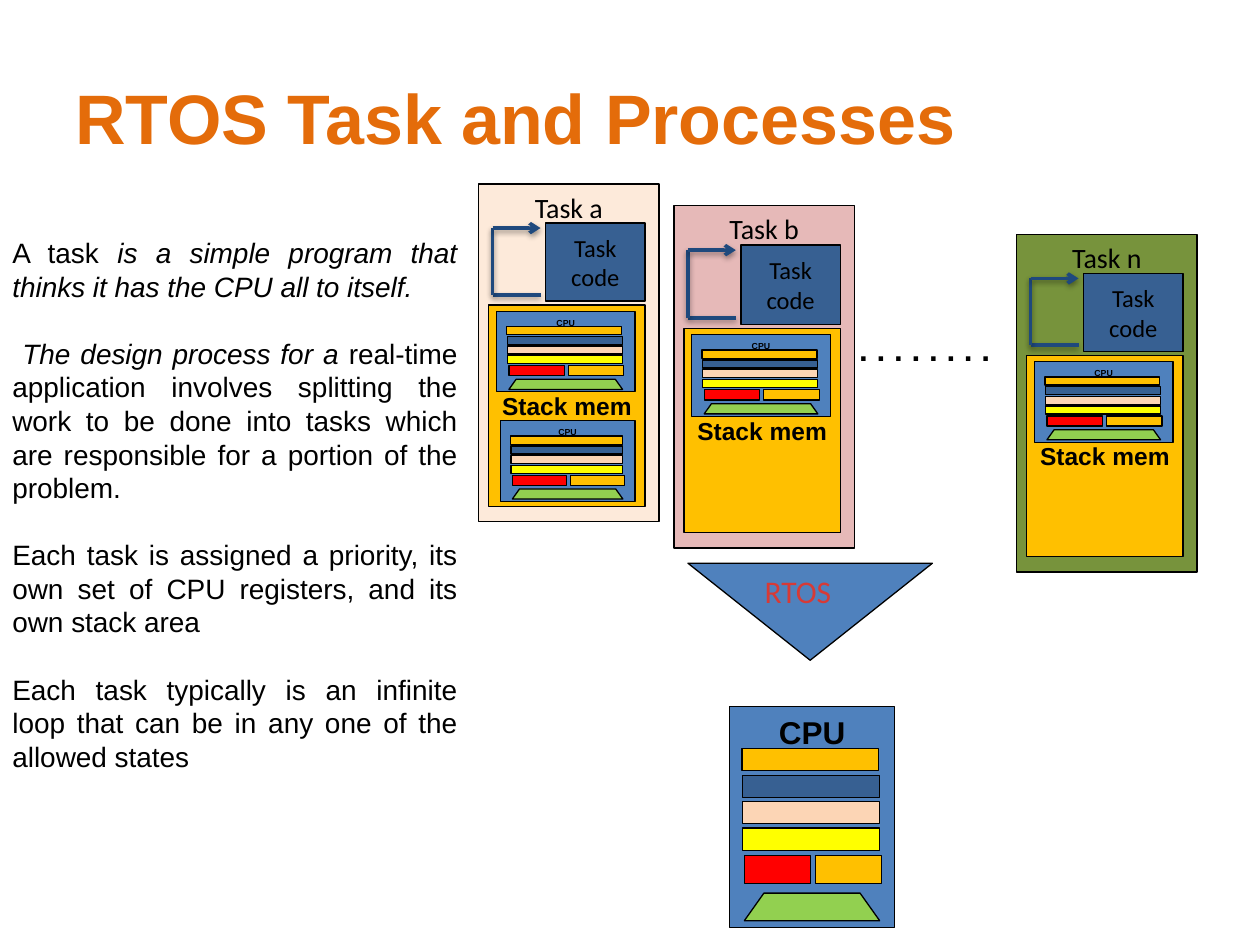
from lxml import etree
from pptx import Presentation
from pptx.dml.color import RGBColor
from pptx.enum.shapes import MSO_CONNECTOR, MSO_SHAPE
from pptx.enum.text import MSO_ANCHOR, PP_ALIGN
from pptx.oxml.ns import qn
from pptx.util import Inches, Pt

RECTANGLE = MSO_SHAPE.RECTANGLE
TRAPEZOID = MSO_SHAPE.TRAPEZOID
TRIANGLE = MSO_SHAPE.ISOSCELES_TRIANGLE
STRAIGHT = MSO_CONNECTOR.STRAIGHT
TOP, MIDDLE = MSO_ANCHOR.TOP, MSO_ANCHOR.MIDDLE
LEFT, CENTER, JUSTIFY = PP_ALIGN.LEFT, PP_ALIGN.CENTER, PP_ALIGN.JUSTIFY

BLACK, BLUE, NAVY, AMBER = "000000", "4F81BD", "376092", "FFC000"
LOOP_COLOR = "1F497D"
TASK_HEIGHT = 2.68

# CPU registers as fractions of the CPU box: left, top, width, height
REGISTERS = [
    (RECTANGLE, AMBER, (0.075, 0.19, 0.83, 0.1)),
    (RECTANGLE, NAVY, (0.08, 0.31, 0.83, 0.1)),
    (RECTANGLE, "FCD5B5", (0.08, 0.43, 0.83, 0.1)),
    (RECTANGLE, "FFFF00", (0.08, 0.55, 0.83, 0.1)),
    (RECTANGLE, "FF0000", (0.09, 0.675, 0.4, 0.125)),
    (RECTANGLE, AMBER, (0.52, 0.675, 0.4, 0.125)),
    (TRAPEZOID, "92D050", (0.09, 0.845, 0.82, 0.125)),
]

# Left, top, height, fill and number of saved CPU contexts
TASKS = [
    ("Task a", 3.8, 1.46, TASK_HEIGHT, "FDEADA", 2),
    ("Task b", 5.35, 1.63, 2.72, "E6B9B8", 1),
    ("Task n", 8.07, 1.86, TASK_HEIGHT, "77933C", 1),
]

# Paragraphs of (text, italic) runs
BODY = [
    [("A task ", False),
     ("is a simple program that thinks it has the CPU all to itself.", True)],
    [(" The design process for a ", True),
     ("real-time application involves splitting the work to be done into "
      "tasks which are responsible for a portion of the problem.", False)],
    [("Each task is assigned a priority, its own set of CPU registers, "
      "and its own stack area", False)],
    [("Each task typically is an infinite loop that can be in any one of "
      "the allowed states", False)],
]


def rgb(color):
    return RGBColor.from_string(color)


def set_font(font, size, name="Arial", bold=False, color=BLACK):
    font.size = Pt(size)
    font.name = name
    font.bold = bold
    font.color.rgb = rgb(color)


def add_box(shapes, kind, box, fill):
    shape = shapes.add_shape(kind, *map(Inches, box))
    shape.shadow.inherit = False
    shape.fill.solid()
    shape.fill.fore_color.rgb = rgb(fill)
    shape.line.color.rgb = rgb(BLACK)
    shape.line.width = Pt(0.75)
    return shape


def add_labelled_box(shapes, box, fill, text, size, anchor=TOP, **font):
    shape = add_box(shapes, RECTANGLE, box, fill)
    frame = shape.text_frame
    frame.text = text
    frame.vertical_anchor = anchor
    paragraph = frame.paragraphs[0]
    paragraph.alignment = CENTER
    set_font(paragraph.runs[0].font, size, **font)


def add_text(shapes, box, text, size, wrap=False, anchor=TOP, **font):
    frame = shapes.add_textbox(*map(Inches, box)).text_frame
    frame.word_wrap = wrap
    frame.vertical_anchor = anchor
    frame.text = text
    paragraph = frame.paragraphs[0]
    paragraph.alignment = LEFT
    set_font(paragraph.runs[0].font, size, **font)


def add_body(shapes):
    frame = shapes.add_textbox(*map(Inches, (0, 1.82, 3.73, 4.41))).text_frame
    frame.word_wrap = True
    for index, runs in enumerate(BODY):
        paragraph = frame.add_paragraph() if index else frame.paragraphs[0]
        paragraph.alignment = JUSTIFY
        paragraph.line_spacing = Pt(19.2)
        paragraph.space_before = Pt(19.2 if index else 0)
        for text, italic in runs:
            run = paragraph.add_run()
            run.text = text
            set_font(run.font, 16)
            run.font.italic = italic


def add_cpu(shapes, left, top, width, height, size):
    add_labelled_box(shapes, (left, top, width, height), BLUE, "CPU", size,
                     bold=True)
    for kind, fill, (x, y, w, h) in REGISTERS:
        box = (left + x * width, top + y * height, w * width, h * height)
        register = add_box(shapes, kind, box, fill)
        if kind == TRAPEZOID:
            register.adjustments[0] = 0.71


def add_loop_line(shapes, start, end, arrow):
    line = shapes.add_connector(STRAIGHT, *map(Inches, start + end))
    line.line.color.rgb = rgb(LOOP_COLOR)
    line.line.width = Pt(2)
    if arrow:
        etree.SubElement(line.line._get_or_add_ln(), qn("a:tailEnd"),
                         type="arrow")
    # Soft shadow straight below the line
    effects = etree.SubElement(line._element.spPr, qn("a:effectLst"))
    shadow = etree.SubElement(effects, qn("a:outerShdw"), blurRad="40000",
                              dist="20000", dir="5400000", rotWithShape="0")
    color = etree.SubElement(shadow, qn("a:srgbClr"), val=BLACK)
    etree.SubElement(color, qn("a:alpha"), val="38000")


def add_task(slide, name, left, top, height, fill, contexts):
    shapes = slide.shapes.add_group_shape().shapes
    scale = height / TASK_HEIGHT

    def place(x, y, w, h):
        return left + x, top + y * scale, w, h * scale

    # Task frame, stack memory and code
    add_labelled_box(shapes, place(0, 0, 1.43, TASK_HEIGHT), fill, name, 16,
                     name="Calibri")
    add_labelled_box(shapes, place(0.08, 0.96, 1.24, 1.6), AMBER, "Stack mem",
                     14, MIDDLE, bold=True)
    add_labelled_box(shapes, place(0.53, 0.31, 0.79, 0.62), NAVY, "Task code",
                     14, MIDDLE, name="Calibri")

    # Saved CPU contexts
    context_boxes = [(0.14, 1.01, 1.1, 0.64), (0.17, 1.88, 1.07, 0.64)]
    for box in context_boxes[:contexts]:
        add_cpu(shapes, *place(*box), 5)

    # Endless loop beside the code
    near, far = left + 0.49, left + 0.11
    upper, lower = top + 0.35 * scale, top + 0.88 * scale
    corners = [(near, lower), (far, lower), (far, upper), (near, upper)]
    for index, (start, end) in enumerate(zip(corners, corners[1:])):
        add_loop_line(shapes, start, end, arrow=index == 2)


def main():
    presentation = Presentation()
    presentation.slide_width = Inches(10)
    presentation.slide_height = Inches(7.5)
    slide = presentation.slides.add_slide(presentation.slide_layouts[6])

    # Title and explanation
    add_text(slide.shapes, (0.5, 0.3, 7.49, 1.25), "RTOS Task and Processes",
             40, wrap=True, anchor=MIDDLE, bold=True, color="E46C0A")
    add_body(slide.shapes)
    add_text(slide.shapes, (6.72, 2.57, 1.32, 0.4), ". . . . . . . .", 18,
             bold=True)

    # Scheduler
    scheduler = slide.shapes.add_group_shape().shapes
    funnel = add_box(scheduler, TRIANGLE, (5.46, 4.47, 1.94, 0.77), BLUE)
    funnel.rotation = 180
    add_text(scheduler, (5.97, 4.49, 0.9, 0.71), "RTOS", 18, name="Calibri",
             color="D73A36")

    # Real CPU
    add_cpu(slide.shapes.add_group_shape().shapes, 5.79, 5.61, 1.31, 1.75, 18)

    # Tasks
    for task in TASKS:
        add_task(slide, *task)

    presentation.save("out.pptx")


if __name__ == "__main__":
    main()
